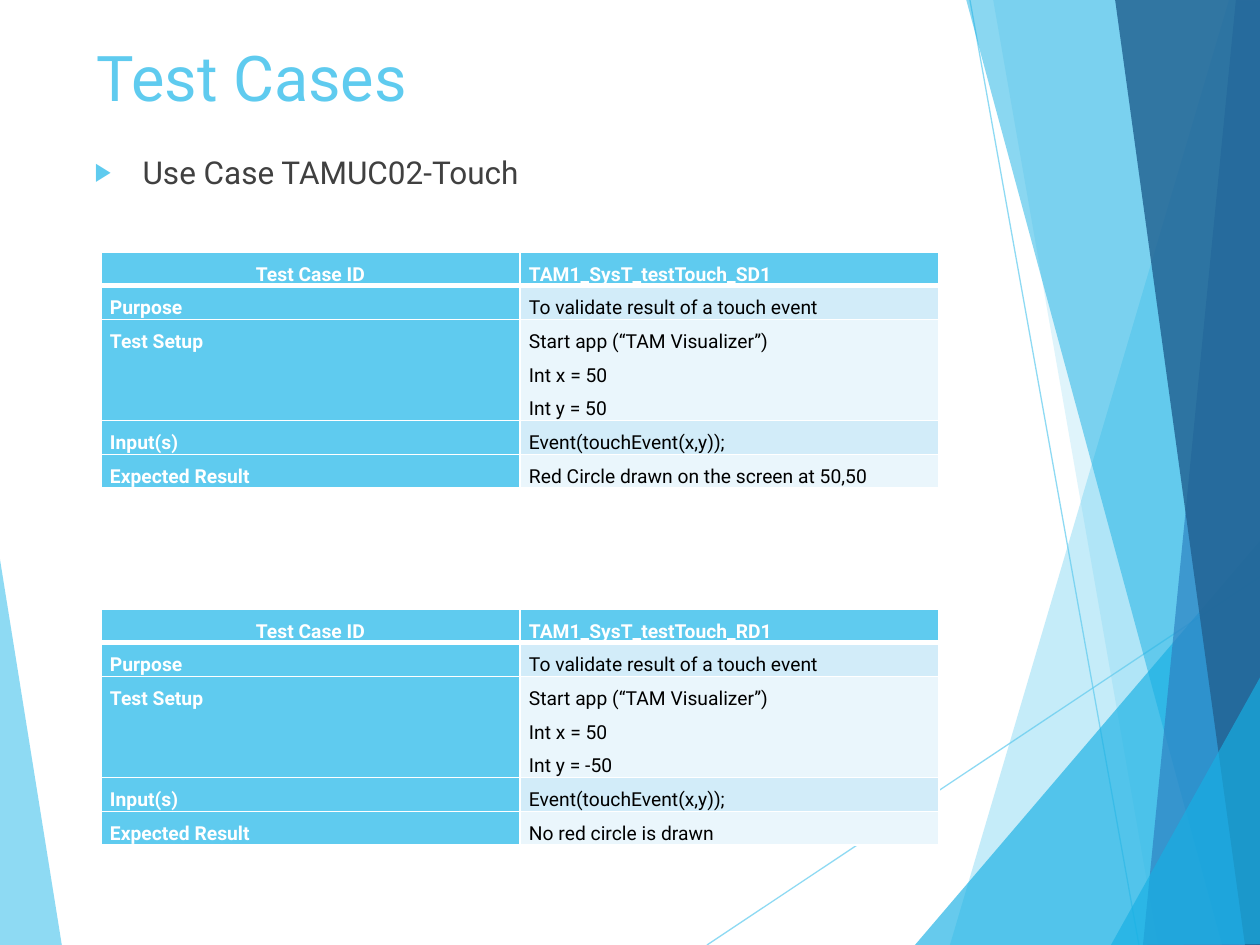
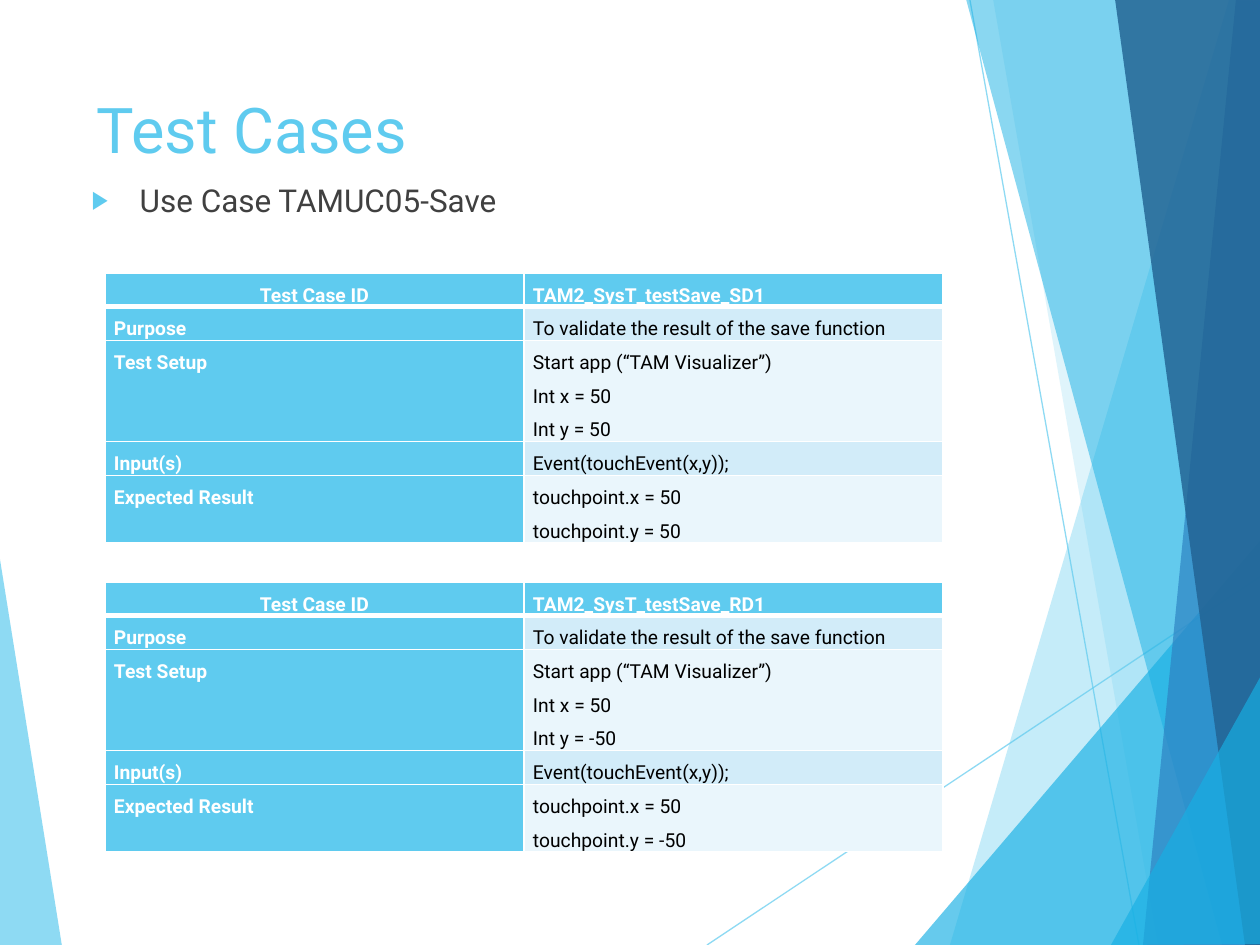
import pptx
import pptx.util
import pptx.dml.color
import pptx.enum.shapes
import pptx.enum.text
import lxml.etree
import pptx.oxml.ns

SCALE = 914400 / 126
FACE = "Roboto"
SKY, CYAN, BLUE, NAVY = "5FCBEF", "17B0E4", "2E83C3", "226292"
WHITE, BLACK, GREY = "FFFFFF", "000000", "404040"
BANDS = ["EAF6FC", "D2ECF9"]
Pt = pptx.util.Pt
qn = pptx.oxml.ns.qn
add = lxml.etree.SubElement


def px(*nums):
    return [round(num * SCALE) for num in nums]


def tint(fill, color):
    fill.solid()
    fill.fore_color.rgb = pptx.dml.color.RGBColor.from_string(color)


# left wedge, thin lines, then the right-hand facets, back to front
facets = [
    (SKY, 70, [(-1, 553), (62, 946), (-1, 945)]),
    (SKY, 70, [(707, 945), (1261, 576)]),
    (SKY, 70, [(970, 0), (1139, 945)]),
    (SKY, 36, [(1229, 0), (950, 945), (1262, 946), (1261, 1)]),
    (SKY, 20, [(993, -1), (1158, 945), (1261, 945), (1261, -1)]),
    (CYAN, 66, [(915, 945), (1260, 541), (1261, 945)]),
    (CYAN, 50, [(966, -1), (1222, 945), (1261, 944), (1261, -1)]),
    (BLUE, 70, [(1236, -1), (1143, 945), (1261, 945), (1260, -1)]),
    (NAVY, 82, [(1115, -1), (1245, 945), (1262, 945), (1260, -1)]),
    (CYAN, 66, [(1111, 945), (1262, 674), (1262, 944)]),
]

names = ["Test Case ID", "Purpose", "Test Setup", "Input(s)", "Expected Result"]
setup = "Start app (“TAM Visualizer”)\nInt x = 50\nInt y = "
event = "Event(touchEvent(x,y));"
touch = "To validate result of a touch event"
save = "To validate the result of the save function"
point = "touchpoint.x = 50\ntouchpoint.y = "

pages = [
    ("Use Case TAMUC02-Touch", (84, 32), (82, 147), 101, [
        (252, ["TAM1_SysT_testTouch_SD1", touch, setup + "50", event,
               "Red Circle drawn on the screen at 50,50"]),
        (609, ["TAM1_SysT_testTouch_RD1", touch, setup + "-50", event,
               "No red circle is drawn"]),
    ]),
    ("Use Case TAMUC05-Save", (84, 84), (79, 175), 105, [
        (273, ["TAM2_SysT_testSave_SD1", save, setup + "50", event, point + "50"]),
        (582, ["TAM2_SysT_testSave_RD1", save, setup + "-50", event, point + "-50"]),
    ]),
]

deck = pptx.Presentation()
deck.slide_width, deck.slide_height = px(1260, 945)
base = deck.slide_layouts[1]

for num, (topic, head, body, left, tests) in enumerate(pages):
    slide = deck.slides.add_slide(base)
    shapes = slide.shapes

    if num == 0:
        for slot, (color, alpha, dots) in enumerate(facets):
            if len(dots) == 2:
                kind = pptx.enum.shapes.MSO_CONNECTOR.STRAIGHT
                shape = shapes.add_connector(kind, *px(*dots[0], *dots[1]))
                shape.line.width = Pt(0.75)
                tint(shape.line.fill, color)
                add(shape.element.spPr, qn("a:effectLst"))
            else:
                path = shapes.build_freeform(*dots[0], scale=SCALE)
                path.add_line_segments(dots[1:], close=True)
                shape = path.convert_to_shape()
                shape.shadow.inherit = False
                shape.line.fill.background()
                tint(shape.fill, color)
            for hue in shape.element.spPr.iter(qn("a:srgbClr")):
                add(hue, qn("a:alpha"), val=str(alpha * 1000))
            base.shapes.element.insert(2 + slot, shape.element)

    list_box = slide.placeholders[1]
    for box, text, spot, tall, size, color in [
        (shapes.title, "Test Cases", head, 181, 36, SKY),
        (list_box, topic, body, 534, 18, GREY),
    ]:
        box.left, box.top, box.width, box.height = px(*spot, 874, tall)
        frame = box.text_frame
        frame.text = text
        frame.word_wrap = True
        frame.auto_size = pptx.enum.text.MSO_AUTO_SIZE.NONE
        frame.vertical_anchor = pptx.enum.text.MSO_ANCHOR.TOP
        para = frame.paragraphs[0]
        para.alignment = pptx.enum.text.PP_ALIGN.LEFT
        if box is list_box:
            para.space_before = Pt(10)
            props = para._p.get_or_add_pPr()
            dent = px(48)[0]
            props.set("marL", str(dent))
            props.set("indent", str(-dent))
            add(add(props, qn("a:buClr")), qn("a:srgbClr"), val=SKY)
            add(props, qn("a:buSzPct"), val="80000")
            add(props, qn("a:buChar"), char="▶")
        para.font.name = FACE
        para.font.size = Pt(size)
        tint(para.font.fill, color)

    for top, facts in tests:
        lines = [fact.count("\n") + 1 for fact in facts]
        grid = shapes.add_table(5, 2, *px(left, top, 838, 33 * sum(lines))).table
        for col in grid.columns:
            col.width = px(419)[0]
        for row, pair in enumerate(zip(names, facts)):
            grid.rows[row].height = px(33 * lines[row])[0]
            for col, text in enumerate(pair):
                cell = grid.cell(row, col)
                cell.text = text
                cell.margin_left = cell.margin_right = px(9)[0]
                cell.margin_top = cell.margin_bottom = 0
                props = cell._tc.get_or_add_tcPr()
                for side in "LRTB":
                    thick = (row, side) in [(0, "B"), (1, "T")]
                    wide = Pt(3 if thick else 1)
                    edge = add(props, qn("a:ln" + side), w=str(wide))
                    add(add(edge, qn("a:solidFill")), qn("a:srgbClr"), val=WHITE)
                label = row == 0 or col == 0
                tint(cell.fill, SKY if label else BANDS[row % 2])
                for para in cell.text_frame.paragraphs:
                    para.line_spacing = 1.5
                    if row == col == 0:
                        para.alignment = pptx.enum.text.PP_ALIGN.CENTER
                    para.font.name = FACE
                    para.font.size = Pt(11)
                    para.font.bold = label
                    tint(para.font.fill, WHITE if label else BLACK)

deck.save("out.pptx")
